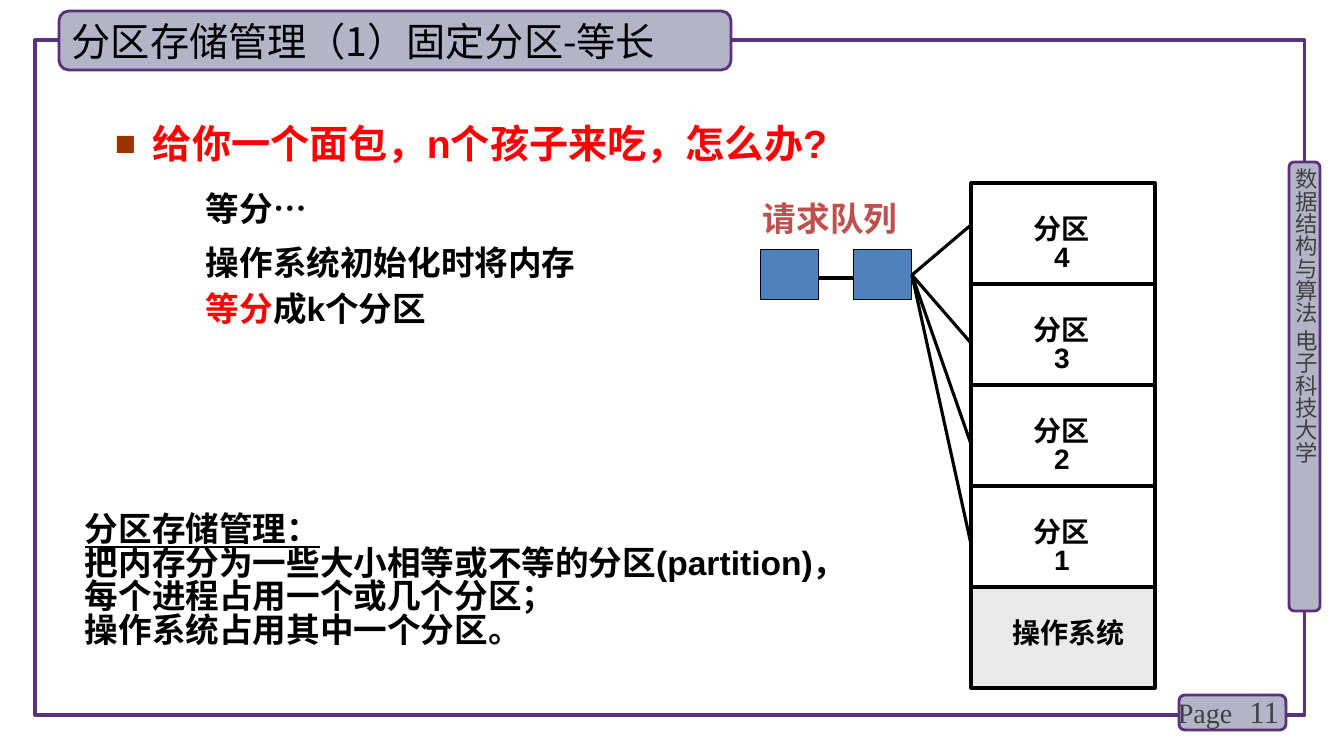
"""Build the slide on fixed partitions of equal size."""
import pptx
import pptx.dml.color
import pptx.enum.shapes
import pptx.enum.text
import pptx.oxml
import pptx.oxml.ns
import pptx.util
import lxml.etree

RGB = pptx.dml.color.RGBColor
BLACK = RGB(0, 0, 0)
WHITE = RGB(255, 255, 255)
RED = RGB(255, 0, 0)
ROSE = RGB(0xC0, 0x50, 0x4D)
BLUE = RGB(0x4F, 0x81, 0xBD)
GREY = RGB(0x40, 0x40, 0x40)
PALE = RGB(0xEA, 0xEA, 0xEA)
LILAC = RGB(0xB4, 0xB4, 0xC8)
PLUM = RGB(0x5C, 0x30, 0x7D)
FRAME = RGB(0x5A, 0x32, 0x7D)
BROWN = "993300"

HAN, SANS, SERIF = "Noto Sans CJK SC", "Arial", "Times New Roman"
SHAPE = pptx.enum.shapes.MSO_SHAPE
ALIGN = pptx.enum.text.PP_ALIGN
MIDDLE = pptx.enum.text.MSO_ANCHOR.MIDDLE
SCALE = 914400 / 100.8
WIDE, HIGH = 1344, 756
TIGHT, LOOSE = 0.83, 1.15

TITLE = "分区存储管理（1）固定分区-等长"
COURSE = "数据结构与算法 电子科技大学"
ASK = "给你一个面包，n个孩子来吃，怎么办?"
SHARE = "等分…"
INIT = [("操作系统初始化时将内存", BLACK), ("等分", RED), ("成k个分区", BLACK)]
QUEUE = "请求队列"
NOTES = [
    "分区存储管理：",
    "把内存分为一些大小相等或不等的分区(partition)，每个进程占用一个或几个分区；",
    "操作系统占用其中一个分区。",
]
PARTS = ["分区4", "分区3", "分区2", "分区1", "操作系统"]

BAR = (1289, 162, 31, 449)
PAGE = (1179, 695, 107, 35)
HEAD = (59, 11, 672, 59)
LEFT, TOP, SPAN, STEP = 971, 183, 184, 101
JOBS = [(761, 250, 58, 50), (854, 250, 58, 50)]
ENDS = [225, 343, 444, 544]


def px(num):
    """Turn px into EMU."""
    return pptx.util.Emu(round(num * SCALE))


def draw(slide, kind, box, fill, line, width):
    """Add a preset shape."""
    shape = slide.shapes.add_shape(kind, *map(px, box))
    shape.shadow.inherit = False
    if fill is None:
        shape.fill.background()
    else:
        shape.fill.solid()
        shape.fill.fore_color.rgb = fill
    shape.line.color.rgb = line
    shape.line.width = pptx.util.Pt(width)
    return shape


def style(run, size, face, ink, bold):
    """Format one run."""
    font = run.font
    font.size, font.name, font.bold = pptx.util.Pt(size), face, bold
    font.color.rgb = ink
    east = lxml.etree.SubElement(font._element, pptx.oxml.ns.qn("a:ea"))
    east.set("typeface", HAN)


def write(slide, box, text, size=24, face=SANS, ink=BLACK, bold=True,
          space=TIGHT, drop=8, align=ALIGN.LEFT):
    """Add a text box; text is a string or a list of coloured parts."""
    frame = slide.shapes.add_textbox(*map(px, box)).text_frame
    frame.word_wrap = True
    frame.margin_top = px(drop)
    parts = [(text, ink)] if isinstance(text, str) else text
    for para_text in "".join(part for part, _ in parts).split("\n")[1:]:
        frame.add_paragraph().text = para_text
    first = frame.paragraphs[0]
    if len(frame.paragraphs) > 1:
        first.text = text.split("\n")[0]
    else:
        for part, _ in parts:
            first.add_run().text = part
    inks = [tone for _, tone in parts]
    for para in frame.paragraphs:
        para.line_spacing, para.alignment = space, align
        for spot, run in enumerate(para.runs):
            style(run, size, face, inks[spot], bold)
    return frame


def indent(para, margin, hang):
    """Set the left margin and first-line indent."""
    props = para._p.get_or_add_pPr()
    props.set("marL", str(px(margin)))
    props.set("indent", str(px(hang)))
    return props


def bullet(para):
    """Give a paragraph a square bullet."""
    props = indent(para, 38, -38)
    space = pptx.oxml.ns.nsdecls("a")
    for mark in (
        f'<a:buClr {space}><a:srgbClr val="{BROWN}"/></a:buClr>',
        f'<a:buSzPct {space} val="90000"/>',
        f'<a:buFont {space} typeface="{SANS}"/>',
        f'<a:buChar {space} char="■"/>',
    ):
        props.append(pptx.oxml.parse_xml(mark))


def link(slide, start, end):
    """Add a black line without a shadow."""
    kind = pptx.enum.shapes.MSO_CONNECTOR.STRAIGHT
    line = slide.shapes.add_connector(kind, *map(px, start + end))
    line.line.color.rgb = BLACK
    line.line.width = pptx.util.Pt(2.25)
    props = line._element.spPr
    lxml.etree.SubElement(props, pptx.oxml.ns.qn("a:effectLst"))
    return line


def border(slide):
    """Draw the frame, side bar, page mark and title."""
    draw(slide, SHAPE.RECTANGLE, (35, 40, 1270, 675), None, FRAME, 2.25)
    for box in (BAR, PAGE):
        draw(slide, SHAPE.ROUNDED_RECTANGLE, box, LILAC, PLUM, 2)
    side = write(slide, (1292, 168, 27, 453), COURSE, 16, HAN, GREY, False, 1, 0)
    side.margin_left = side.margin_right = side.margin_bottom = 0
    side._txBody.bodyPr.set("vert", "eaVert")
    count = write(slide, (1196, 691, 93, 40), "11", 22, SERIF, GREY, False, 1, 5,
                  ALIGN.RIGHT)
    count.vertical_anchor = MIDDLE
    write(slide, (1168, 690, 129, 44), "Page", 20, SERIF, GREY, False, 1, 5)
    head = draw(slide, SHAPE.ROUNDED_RECTANGLE, HEAD, LILAC, PLUM, 2).text_frame
    head.text, head.vertical_anchor = TITLE, MIDDLE
    head.paragraphs[0].alignment = ALIGN.LEFT
    style(head.paragraphs[0].runs[0], 28, HAN, BLACK, False)


def memory(slide):
    """Draw the partitions and the request queue."""
    for row, name in enumerate(PARTS):
        last = row == len(PARTS) - 1
        top = TOP + row * STEP
        draw(slide, SHAPE.RECTANGLE, (LEFT, top, SPAN, STEP),
             PALE if last else WHITE, BLACK, 2.25)
        left, width = (995, 148) if last else (1018, 88)
        write(slide, (left, top + 26, width, 43), name, 20, align=ALIGN.CENTER)
    jobs = [draw(slide, SHAPE.RECTANGLE, box, BLUE, BLACK, 0.75) for box in JOBS]
    for end in ENDS:
        link(slide, (912, 275), (LEFT, end)).begin_connect(jobs[1], 3)
    link(slide, (819, 278), (854, 278))
    write(slide, (753, 197, 159, 50), QUEUE, ink=ROSE)


def main():
    """Build and save the slide."""
    deck = pptx.Presentation()
    deck.slide_width, deck.slide_height = px(WIDE), px(HIGH)
    slide = deck.slides.add_slide(deck.slide_layouts[6])
    border(slide)
    ask = write(slide, (105, 107, 890, 96), ASK, 28, ink=RED, space=1.1)
    bullet(ask.paragraphs[0])
    for box, text in (((146, 174, 424, 67), SHARE), ((146, 228, 446, 117), INIT)):
        item = write(slide, box, text, space=LOOSE).paragraphs[0]
        item.level = 1
        indent(item, 50, 0)
    memory(slide)
    notes = write(slide, (75, 507, 800, 179), "\n".join(NOTES))
    notes.paragraphs[0].runs[0].font.underline = True
    deck.save("out.pptx")


if __name__ == "__main__":
    main()
